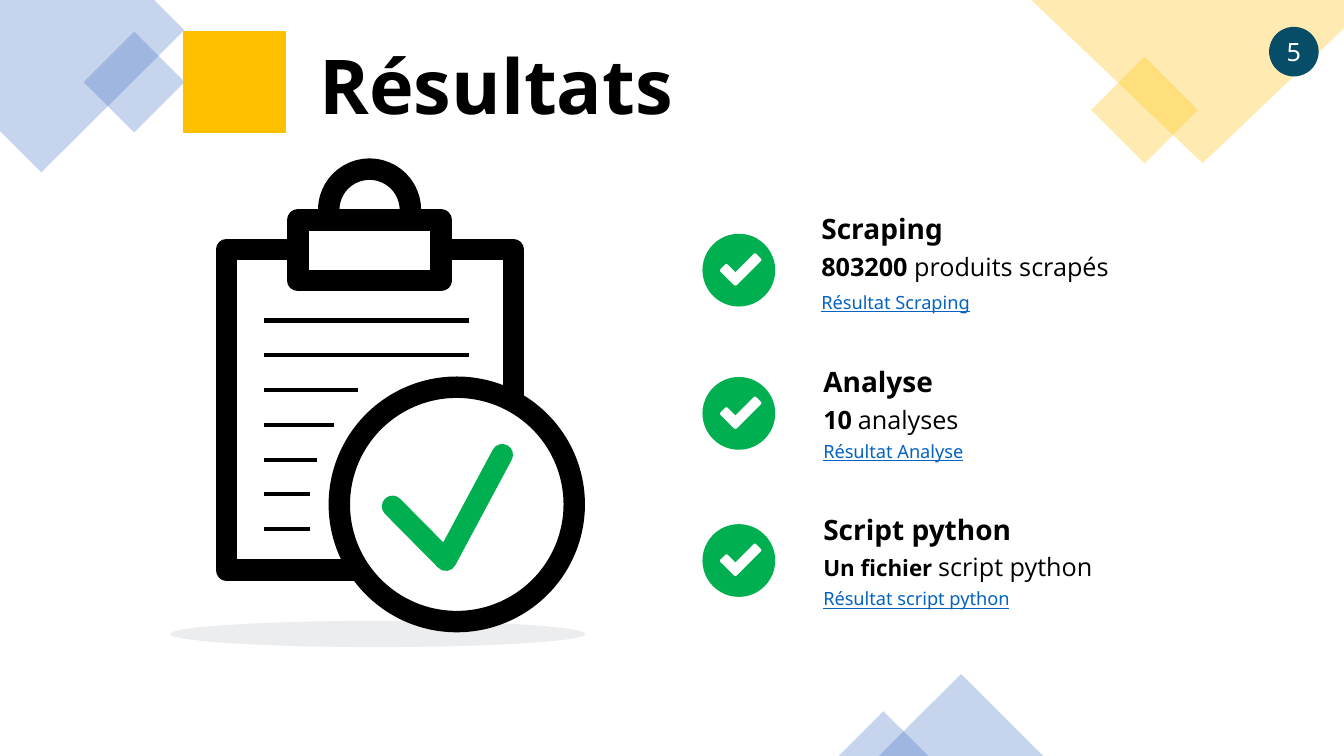
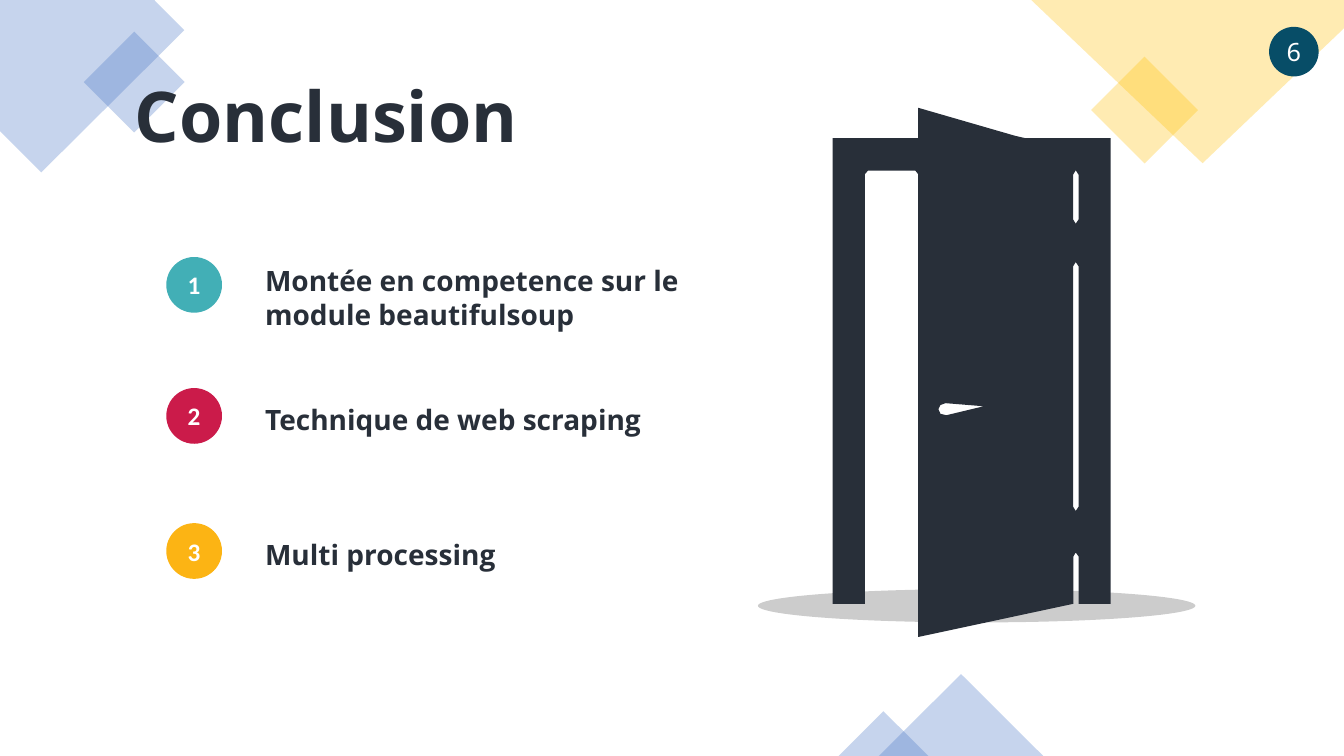
from typing import NamedTuple, Optional

from pptx import Presentation
from pptx.dml.color import RGBColor
from pptx.enum.shapes import MSO_CONNECTOR, MSO_SHAPE
from pptx.enum.text import MSO_ANCHOR, MSO_AUTO_SIZE, PP_ALIGN
from pptx.oxml.ns import qn
from pptx.shapes.autoshape import Shape
from pptx.slide import Slide
from pptx.util import Pt
from lxml import etree

# Enum members
RECTANGLE = MSO_SHAPE.RECTANGLE
ROUNDED = MSO_SHAPE.ROUNDED_RECTANGLE
OVAL = MSO_SHAPE.OVAL
TRIANGLE = MSO_SHAPE.ISOSCELES_TRIANGLE
STRAIGHT = MSO_CONNECTOR.STRAIGHT
LEFT, CENTER, JUSTIFY = PP_ALIGN.LEFT, PP_ALIGN.CENTER, PP_ALIGN.JUSTIFY
MIDDLE = MSO_ANCHOR.MIDDLE
FIT_SHAPE = MSO_AUTO_SIZE.SHAPE_TO_FIT_TEXT

# Colours
BLACK = RGBColor(0x00, 0x00, 0x00)
WHITE = RGBColor(0xFF, 0xFF, 0xFF)
BLUE = RGBColor(0x44, 0x72, 0xC4)
YELLOW = RGBColor(0xFF, 0xC0, 0x00)
GREEN = RGBColor(0x00, 0xB0, 0x50)
SLATE = RGBColor(0x44, 0x54, 0x6A)
LINK_BLUE = RGBColor(0x05, 0x63, 0xC1)
INK = RGBColor(0x28, 0x2F, 0x39)
PETROL = RGBColor(0x07, 0x4D, 0x67)
TEAL = RGBColor(0x42, 0xAF, 0xB6)
CRIMSON = RGBColor(0xCB, 0x1B, 0x4A)
AMBER = RGBColor(0xFC, 0xB4, 0x14)

NOTO, OPEN, CALIBRI = "Noto Sans", "Open Sans", "Calibri"
SLIDE_WIDTH, SLIDE_HEIGHT = 960, 540
STROKE = 15.3
TINT = 30

Point = tuple[float, float]


class Box(NamedTuple):
    left: float
    top: float
    width: float
    height: float


class Run(NamedTuple):
    text: str
    size: float
    bold: bool = False


class Result(NamedTuple):
    left: float
    icon_top: float
    heading_top: float
    link_top: float
    heading: str
    detail: list[Run]
    link: str


class Lesson(NamedTuple):
    badge_top: float
    text_top: float
    text_height: float
    color: RGBColor
    text: str


RESULTS = [
    Result(579.6, 167, 147.6, 204.5, "Scraping",
           [Run("803200 ", 18, True), Run("produits scrapés", 18)], "Résultat Scraping"),
    Result(581, 269.3, 257, 311, "Analyse",
           [Run("10", 18, True), Run(" ", 16, True), Run("analyses", 18)], "Résultat Analyse"),
    Result(581, 374.4, 362.2, 416.2, "Script python",
           [Run("Un fichier ", 16, True), Run("script python", 18)], "Résultat script python"),
]

LESSONS = [
    Lesson(183.6, 185, 55.4, TEAL, "Montée en competence sur le module beautifulsoup"),
    Lesson(277.2, 283.7, 31.7, CRIMSON, "Technique de web scraping"),
    Lesson(373.7, 380.2, 31.7, AMBER, "Multi processing"),
]

CLIPBOARD_LINE_ENDS = [334.8, 334.8, 255.6, 238.3, 226.1, 221.8, 221.8]

DOOR_OUTLINE = [
    (594.7, 431.3), (594.7, 98.6), (655.9, 98.6), (655.9, 77), (725, 97), (732, 98.6),
    (793.4, 98.6), (793.4, 431.3), (770.4, 431.3), (770.4, 397.4), (768.4, 394.6),
    (766.8, 397.4), (766.8, 431.3), (655.9, 455), (655.9, 124.5), (653.8, 121.9),
    (620, 121.9), (617.8, 124.5), (617.8, 431.3),
]
DOOR_HANDLE = [(702.7, 290.2), (675.4, 288), (671.8, 289.3), (670.3, 292.3),
               (671.8, 295.6), (676, 296.6)]


# Drawing tools
def paint(shape: Shape, fill: Optional[RGBColor], opacity: int = 100,
          line: Optional[RGBColor] = None, line_width: float = 1) -> None:
    """Set fill, opacity and a round-joined outline, without shadow."""
    shape.shadow.inherit = False
    if fill is None:
        shape.fill.background()
    else:
        shape.fill.solid()
        shape.fill.fore_color.rgb = fill
        if opacity < 100:
            color = shape.element.spPr.find(qn("a:solidFill")).find(qn("a:srgbClr"))
            etree.SubElement(color, qn("a:alpha")).set("val", str(opacity * 1000))
    if line is None:
        shape.line.fill.background()
    else:
        shape.line.color.rgb = line
        shape.line.width = Pt(line_width)
        outline = shape.element.spPr.find(qn("a:ln"))
        outline.set("cap", "rnd")
        etree.SubElement(outline, qn("a:round"))


def add_preset(slide: Slide, kind: MSO_SHAPE, box: Box, fill: Optional[RGBColor],
               opacity: int = 100, line: Optional[RGBColor] = None,
               line_width: float = 1, rotation: float = 0) -> Shape:
    shape = slide.shapes.add_shape(kind, *(Pt(length) for length in box))
    shape.rotation = rotation
    paint(shape, fill, opacity, line, line_width)
    return shape


def add_outline(slide: Slide, contours: list[list[Point]], fill: Optional[RGBColor],
                opacity: int = 100, line: Optional[RGBColor] = None,
                line_width: float = 1, close: bool = True) -> Shape:
    """Draw a freeform; contours after the first one cut holes."""
    contours_emu = [[(Pt(x), Pt(y)) for x, y in contour] for contour in contours]
    builder = slide.shapes.build_freeform(*contours_emu[0][0])
    for index, contour in enumerate(contours_emu):
        if index:
            builder.move_to(*contour[0])
        builder.add_line_segments(contour[1:], close=close)
    shape = builder.convert_to_shape()
    paint(shape, fill, opacity, line, line_width)
    return shape


def add_rule(slide: Slide, left: float, right: float, y: float) -> None:
    connector = slide.shapes.add_connector(STRAIGHT, Pt(left), Pt(y), Pt(right), Pt(y))
    connector.line.color.rgb = BLACK
    connector.line.width = Pt(3)
    etree.SubElement(connector.element.spPr, qn("a:effectLst"))


def write(shape: Shape, runs: list[Run], font: str, color: RGBColor,
          align: PP_ALIGN = LEFT, underline: bool = False) -> None:
    paragraph = shape.text_frame.paragraphs[0]
    paragraph.alignment = align
    for item in runs:
        run = paragraph.add_run()
        run.text = item.text
        run.font.size = Pt(item.size)
        run.font.bold = item.bold
        run.font.name = font
        run.font.color.rgb = color
        if underline:
            run.font.underline = True


def add_text(slide: Slide, box: Box, runs: list[Run], font: str = NOTO,
             color: RGBColor = BLACK, align: PP_ALIGN = LEFT,
             underline: bool = False) -> None:
    shape = slide.shapes.add_textbox(*(Pt(length) for length in box))
    shape.text_frame.word_wrap = True
    shape.text_frame.auto_size = FIT_SHAPE
    write(shape, runs, font, color, align, underline)


def add_badge(slide: Slide, left: float, top: float, size: float, fill: RGBColor,
              run: Run, font: str) -> None:
    badge = add_preset(slide, OVAL, Box(left, top, size, size), fill)
    badge.text_frame.word_wrap = False
    badge.text_frame.vertical_anchor = MIDDLE
    write(badge, [run], font, WHITE, CENTER)


# Parts shared by the slides
def add_decorated_slide(presentation: Presentation) -> Slide:
    slide = presentation.slides.add_slide(presentation.slide_layouts[6])
    add_outline(slide, [[(110.2, 0), (0, 0), (0, 93.6), (29.5, 123.1), (131.6, 21.6)]],
                BLUE, TINT)
    add_preset(slide, RECTANGLE, Box(70.4, 33.1, 51, 51), BLUE, TINT, rotation=315)
    add_preset(slide, RECTANGLE, Box(790.6, 51.6, 54, 54), YELLOW, TINT, rotation=315)
    add_outline(slide, [[(SLIDE_WIDTH, 0), (736.6, 0), (859, 116.6), (SLIDE_WIDTH, 20.2)]],
                YELLOW, TINT)
    for left, width, height in ((627.8, 117.4, 58.5), (599, 64.1, 32)):
        add_preset(slide, TRIANGLE, Box(left, SLIDE_HEIGHT - height, width, height),
                   BLUE, TINT)
    return slide


def add_page_number(slide: Slide, number: int) -> None:
    add_badge(slide, 906.5, 19.2, 35.4, PETROL, Run(str(number), 18), NOTO)


# Slide: results
def draw_clipboard(slide: Slide) -> None:
    add_preset(slide, OVAL, Box(121.7, 443.5, 296.6, 18.7), SLATE, 10)
    for kind, box in (
        (RECTANGLE, Box(161.6, 178.4, 205.2, 228.6)),  # board
        (OVAL, Box(234.8, 120.8, 58.4, 58.4)),  # ring
        (RECTANGLE, Box(212.8, 157, 102.2, 43.5)),  # clip
        (OVAL, Box(242.4, 276.6, 167.8, 167.4)),  # lens
    ):
        add_preset(slide, kind, box, WHITE, line=BLACK, line_width=STROKE)
    add_outline(slide, [[(280.4, 361.7), (318.5, 400.2), (358.8, 324.8)]], None,
                line=GREEN, line_width=STROKE, close=False)
    for index, right in enumerate(CLIPBOARD_LINE_ENDS):
        add_rule(slide, 188.6, right, 229 + 24.83 * index)


def draw_result(slide: Slide, result: Result) -> None:
    left, top = 501.8, result.icon_top
    add_preset(slide, OVAL, Box(left, top, 52, 52), GREEN)
    add_preset(slide, ROUNDED, Box(left + 12.2, top + 25.7, 16, 7.2), WHITE, rotation=45)
    add_preset(slide, ROUNDED, Box(left + 17.3, top + 21.8, 26.6, 7.2), WHITE, rotation=135)
    add_text(slide, Box(result.left, result.heading_top, 219, 31.5),
             [Run(result.heading, 20, True)])
    add_text(slide, Box(result.left, result.heading_top + 28, 244, 29),
             result.detail, OPEN, align=JUSTIFY)
    add_text(slide, Box(result.left, result.link_top, 244, 23),
             [Run(result.link, 13)], color=LINK_BLUE, align=JUSTIFY, underline=True)


def build_results(presentation: Presentation) -> None:
    slide = add_decorated_slide(presentation)
    add_preset(slide, RECTANGLE, Box(131.5, 22.5, 72, 72), YELLOW, line=YELLOW)
    add_text(slide, Box(221, 24.5, 364.3, 72.7), [Run("Résultats", 54, True)])
    draw_clipboard(slide)
    for result in RESULTS:
        draw_result(slide, result)
    add_page_number(slide, 5)


# Slide: conclusion
def door_slot(top: float, bottom: float) -> list[Point]:
    left, middle, right, taper = 766.6, 768.4, 770.4, 3
    return [(middle, top), (right, top + taper), (right, bottom - taper),
            (middle, bottom), (left, bottom - taper), (left, top + taper)]


def build_conclusion(presentation: Presentation) -> None:
    slide = add_decorated_slide(presentation)
    add_text(slide, Box(89.3, 48.2, 443.5, 67.7), [Run("Conclusion", 50, True)], color=INK)
    for number, lesson in enumerate(LESSONS, start=1):
        add_text(slide, Box(182.2, lesson.text_top, 324.7, lesson.text_height),
                 [Run(lesson.text, 20, True)], OPEN, INK)
        add_badge(slide, 118.8, lesson.badge_top, 39.8, lesson.color,
                  Run(str(number), 18, True), CALIBRI)
    add_preset(slide, OVAL, Box(541.4, 420.8, 312.5, 23.8), BLACK, 20)
    add_outline(slide, [DOOR_OUTLINE, DOOR_HANDLE, door_slot(121.7, 159.8),
                        door_slot(187.2, 365)], INK)
    add_page_number(slide, 6)


def main() -> None:
    presentation = Presentation()
    presentation.slide_width = Pt(SLIDE_WIDTH)
    presentation.slide_height = Pt(SLIDE_HEIGHT)
    build_results(presentation)
    build_conclusion(presentation)
    presentation.save("out.pptx")


if __name__ == "__main__":
    main()
